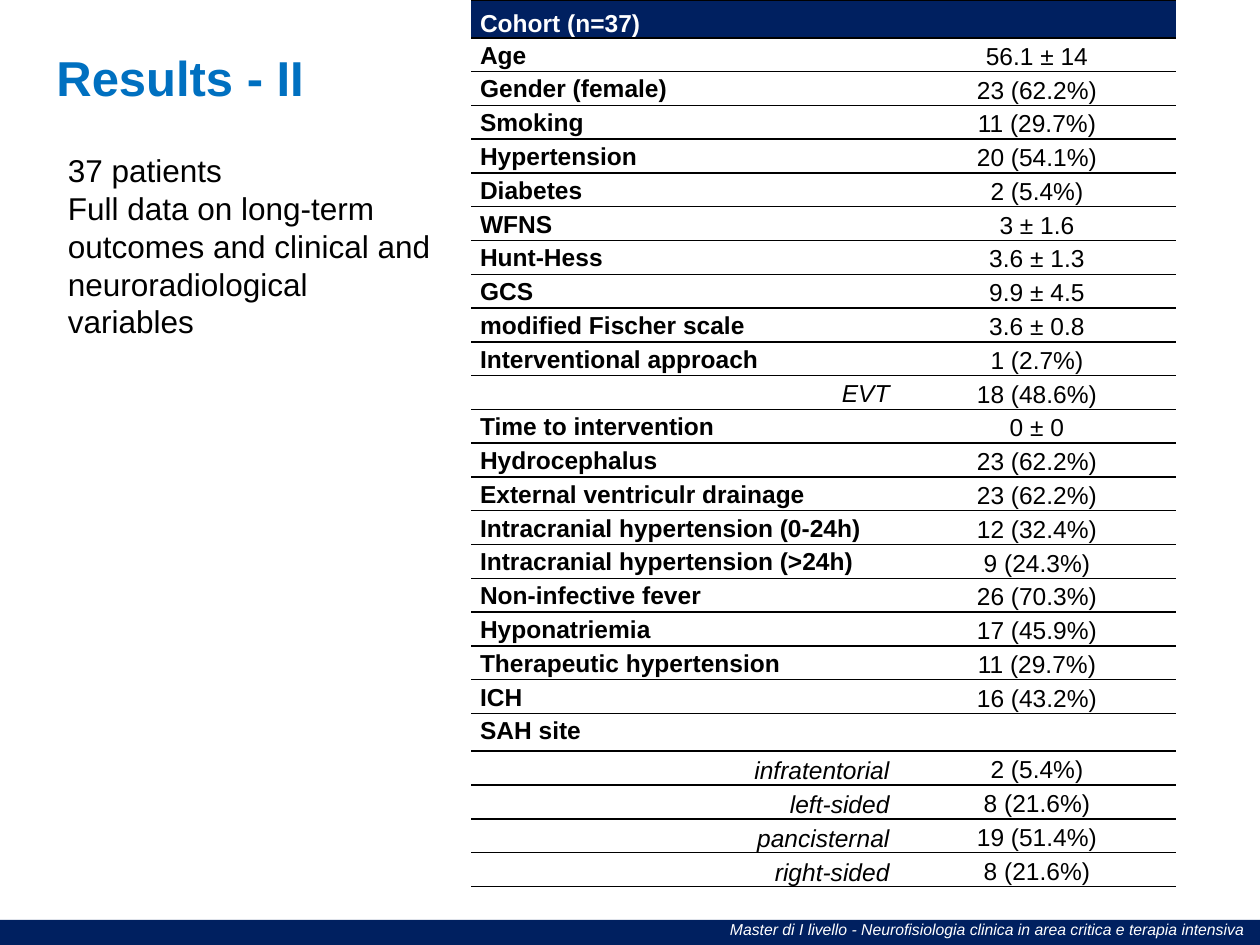
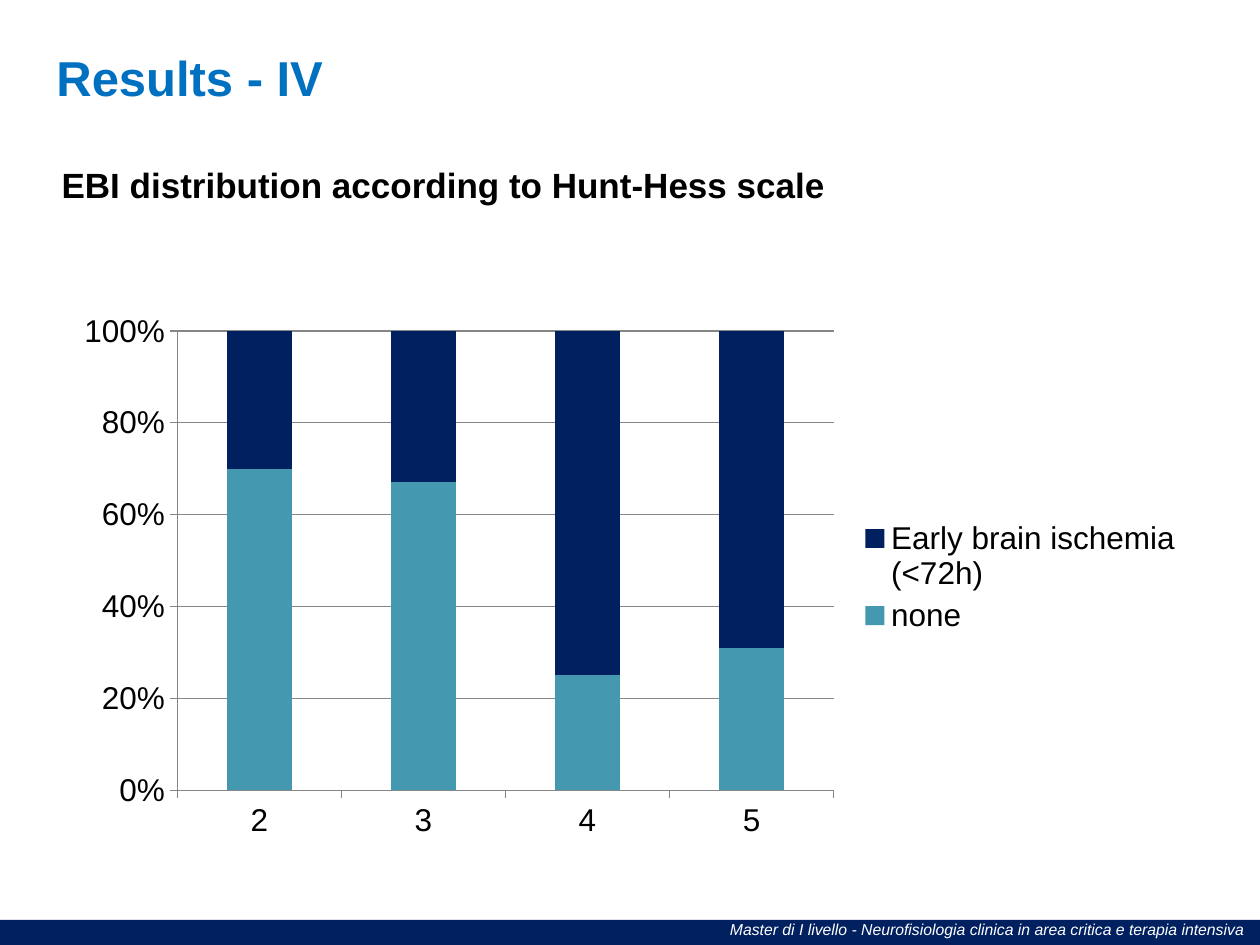
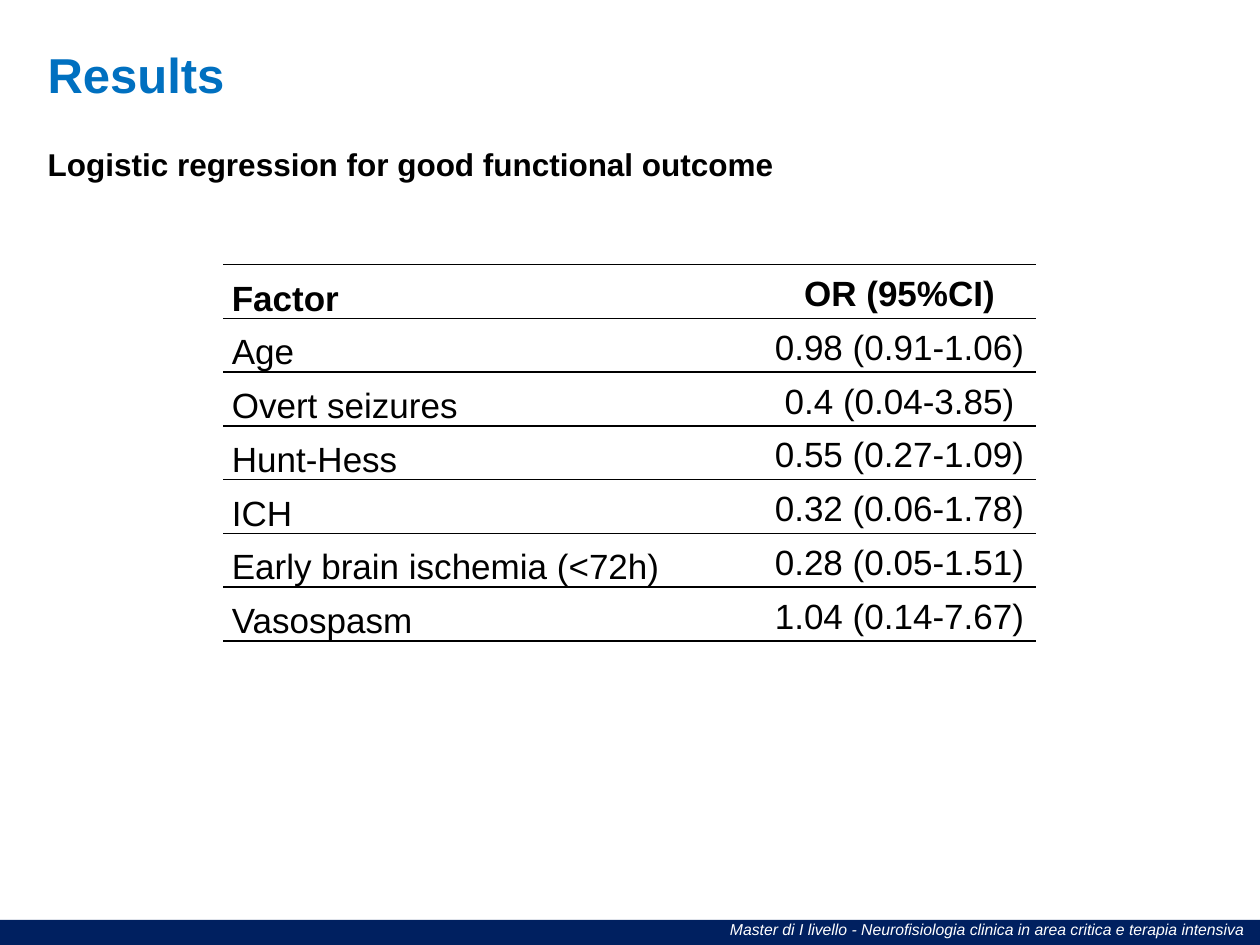
from lxml.etree import SubElement
from pptx import Presentation
from pptx.chart.data import CategoryChartData
from pptx.dml.color import RGBColor
from pptx.enum.chart import XL_CHART_TYPE, XL_LEGEND_POSITION, XL_TICK_MARK
from pptx.enum.shapes import MSO_SHAPE
from pptx.enum.text import MSO_ANCHOR, MSO_AUTO_SIZE, PP_ALIGN
from pptx.oxml import parse_xml
from pptx.oxml.ns import nsdecls, qn
from pptx.util import Inches, Pt

NAVY = RGBColor(0x00, 0x20, 0x60)
BLUE = RGBColor(0x00, 0x70, 0xC0)
TEAL = RGBColor(0x44, 0x99, 0xB0)
GREY = RGBColor(0x86, 0x86, 0x86)
BLACK = RGBColor(0x00, 0x00, 0x00)
WHITE = RGBColor(0xFF, 0xFF, 0xFF)
FONT = "Arial"
FOOTER = "Master di I livello - Neurofisiologia clinica in area critica e terapia intensiva"


def write(frame, text, size=18, color=BLACK, bold=False, italic=False,
          align=PP_ALIGN.LEFT, space=None):
    """Fill a text frame, one paragraph for each line of text."""
    frame.text = text
    for para in frame.paragraphs:
        para.alignment = align
        para.line_spacing = space
        font = para.font
        font.name, font.size = FONT, Pt(size)
        font.bold, font.italic = bold, italic
        font.color.rgb = color
        for run in para.runs:
            run.font.name, run.font.size = FONT, Pt(size)
            run.font.bold, run.font.italic = bold, italic
            run.font.color.rgb = color


def add_grid(slide, left, top, widths, heights):
    """Add a plain table with a thin line above and below each row."""
    shape = slide.shapes.add_table(len(heights), len(widths), Inches(left), Inches(top),
                                   Inches(sum(widths)), Inches(sum(heights)))
    grid = shape.table
    grid.first_row = grid.horz_banding = False
    for col, width in zip(grid.columns, widths):
        col.width = Inches(width)
    for row, height in zip(grid.rows, heights):
        row.height = Inches(height)
    for cell in grid.iter_cells():
        cell.margin_left = cell.margin_right = Inches(0.07)
        cell.margin_top = cell.margin_bottom = 0
        props = cell._tc.get_or_add_tcPr()
        for side in ("lnL", "lnR", "lnT", "lnB"):
            line = SubElement(props, qn(f"a:{side}"), w=str(Pt(1)))
            if side in ("lnL", "lnR"):
                SubElement(line, qn("a:noFill"))
            else:
                paint = SubElement(line, qn("a:solidFill"))
                SubElement(paint, qn("a:srgbClr"), val=str(BLACK))
        cell.fill.background()
    return grid


deck = Presentation()
deck.slide_width, deck.slide_height = Inches(10), Inches(7.5)
cohort, scale, model = [deck.slides.add_slide(deck.slide_layouts[6]) for _ in range(3)]

# Bands, footers, titles and body text
title = dict(size=28, color=BLUE, bold=True)
foot = dict(size=9, color=WHITE, italic=True, align=PP_ALIGN.RIGHT)
boxes = [
    (cohort, (0.35, 0.33, 9.13, 1.25), "Results - II", title),
    (scale, (0.35, 0.33, 9.13, 1.25), "Results - IV", title),
    (model, (0.28, 0.3, 9.13, 1.25), "Results", title),
    (cohort, (0.44, 1.15, 3.15, 1.62),
     "37 patients\nFull data on long-term outcomes and clinical and neuroradiological variables", {}),
    (scale, (0.39, 1.25, 6.31, 0.44), "EBI distribution according to Hunt-Hess scale",
     dict(size=20, bold=True)),
    (model, (0.28, 1.1, 6.02, 0.4), "Logistic regression for good functional outcome",
     dict(bold=True)),
]
for slide in deck.slides:
    band = slide.shapes.add_shape(MSO_SHAPE.RECTANGLE, 0, Inches(7.3), Inches(10), Inches(0.2))
    band.shadow.inherit = False
    band.fill.solid()
    band.fill.fore_color.rgb = NAVY
    band.line.fill.background()
    boxes.append((slide, (2.02, 7.25, 7.95, 0.25), FOOTER, foot))
for slide, place, text, form in boxes:
    frame = slide.shapes.add_textbox(*map(Inches, place)).text_frame
    frame.word_wrap = True
    frame.auto_size = MSO_AUTO_SIZE.NONE
    write(frame, text, **form)

# Cohort table
traits = [
    ("Cohort (n=37)", ""), ("Age", "56.1 ± 14"), ("Gender (female)", "23 (62.2%)"),
    ("Smoking", "11 (29.7%)"), ("Hypertension", "20 (54.1%)"), ("Diabetes", "2 (5.4%)"),
    ("WFNS", "3 ± 1.6"), ("Hunt-Hess", "3.6 ± 1.3"), ("GCS", "9.9 ± 4.5"),
    ("modified Fischer scale", "3.6 ± 0.8"), ("Interventional approach", "1 (2.7%)"),
    ("EVT", "18 (48.6%)"), ("Time to intervention", "0 ± 0"), ("Hydrocephalus", "23 (62.2%)"),
    ("External ventriculr drainage", "23 (62.2%)"),
    ("Intracranial hypertension (0-24h)", "12 (32.4%)"),
    ("Intracranial hypertension (>24h)", "9 (24.3%)"), ("Non-infective fever", "26 (70.3%)"),
    ("Hyponatriemia", "17 (45.9%)"), ("Therapeutic hypertension", "11 (29.7%)"),
    ("ICH", "16 (43.2%)"), ("SAH site", ""), ("infratentorial", "2 (5.4%)"),
    ("left-sided", "8 (21.6%)"), ("pancisternal", "19 (51.4%)"), ("right-sided", "8 (21.6%)"),
]
sites = ("infratentorial", "left-sided", "pancisternal", "right-sided")
tall = 0.3
low = (7.04 - 2 * tall) / (len(traits) - 2)
grid = add_grid(cohort, 3.74, 0, (3.39, 2.2), [low if value else tall for _, value in traits])
for row, (name, value) in enumerate(traits):
    left, right = grid.cell(row, 0), grid.cell(row, 1)
    sub = name == "EVT" or name in sites
    write(left.text_frame, name, size=14, color=BLACK if row else WHITE, bold=not sub,
          italic=sub, align=PP_ALIGN.RIGHT if sub else PP_ALIGN.LEFT, space=1.15)
    write(right.text_frame, value, size=14, align=PP_ALIGN.CENTER, space=1.15)
    low_set = row == 0 or name in sites
    left.vertical_anchor = MSO_ANCHOR.BOTTOM if low_set else MSO_ANCHOR.TOP
    right.vertical_anchor = MSO_ANCHOR.MIDDLE
for col in range(2):
    head = grid.cell(0, col)
    head.fill.solid()
    head.fill.fore_color.rgb = NAVY

# Hunt-Hess chart
data = CategoryChartData()
data.categories = ["2", "3", "4", "5"]
data.add_series("none", (70, 67, 25, 31))
data.add_series("Early brain ischemia (<72h)", (30, 33, 75, 69))
chart = scale.shapes.add_chart(XL_CHART_TYPE.COLUMN_STACKED_100, Inches(0.51), Inches(2.41),
                               Inches(8.98), Inches(4.34), data).chart
chart.has_title = False
chart.font.name, chart.font.size = FONT, Pt(18)
chart.font.color.rgb = BLACK
chart.has_legend = True
chart.legend.position = XL_LEGEND_POSITION.RIGHT
chart.legend.include_in_layout = False
plot = chart.plots[0]
plot.gap_width, plot.overlap = 150, 100
plot.vary_by_categories = False
for series, color in zip(plot.series, (TEAL, NAVY)):
    series.format.fill.solid()
    series.format.fill.fore_color.rgb = color
for axis in (chart.category_axis, chart.value_axis):
    axis.major_tick_mark = XL_TICK_MARK.OUTSIDE
    axis.format.line.color.rgb = GREY
values = chart.value_axis
values.minimum_scale, values.maximum_scale, values.major_unit = 0, 1, 0.2
values.has_major_gridlines = True
values.major_gridlines.format.line.color.rgb = GREY
values.tick_labels.number_format = "0%"
values.tick_labels.number_format_is_linked = False
area = chart._chartSpace.chart.plotArea
for old in area.findall(qn("c:layout")):
    area.remove(old)
sizes = "".join(f'<c:{key} val="{val}"/>' for key, val in (
    ("layoutTarget", "inner"), ("xMode", "edge"), ("yMode", "edge"),
    ("x", 0.1), ("y", 0.05), ("w", 0.58), ("h", 0.84)))
area.insert(0, parse_xml(
    f'<c:layout {nsdecls("c")}><c:manualLayout>{sizes}</c:manualLayout></c:layout>'))

# Regression table
odds = [
    ("Factor", "OR (95%CI)"), ("Age", "0.98 (0.91-1.06)"), ("Overt seizures", "0.4 (0.04-3.85)"),
    ("Hunt-Hess", "0.55 (0.27-1.09)"), ("ICH", "0.32 (0.06-1.78)"),
    ("Early brain ischemia (<72h)", "0.28 (0.05-1.51)"), ("Vasospasm", "1.04 (0.14-7.67)"),
]
grid = add_grid(model, 1.77, 2.1, (4.29, 2.16), [2.99 / len(odds)] * len(odds))
for row, pair in enumerate(odds):
    for col, text in enumerate(pair):
        cell = grid.cell(row, col)
        write(cell.text_frame, text, size=20, bold=row == 0, space=1.15,
              align=PP_ALIGN.CENTER if col else PP_ALIGN.LEFT)
        cell.vertical_anchor = MSO_ANCHOR.MIDDLE if col else MSO_ANCHOR.BOTTOM

deck.save("out.pptx")
